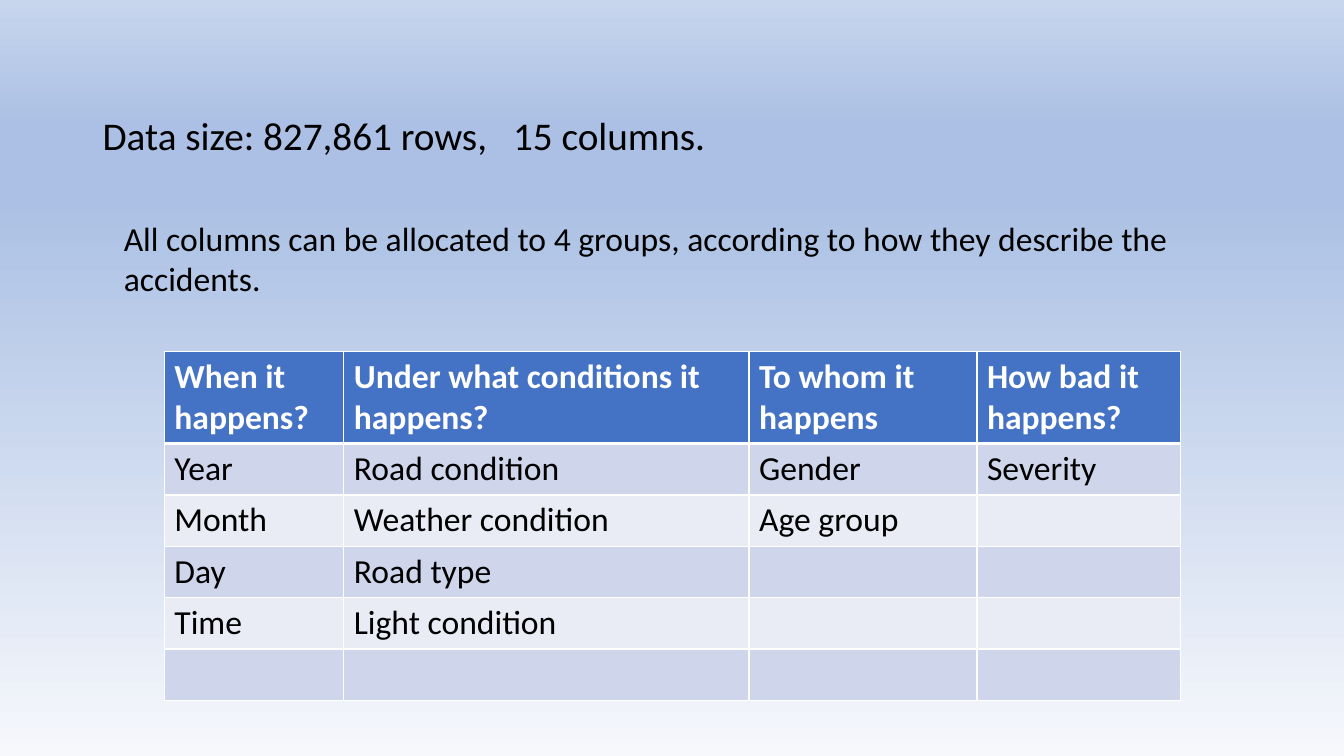
from lxml import etree
from pptx import Presentation
from pptx.dml.color import RGBColor
from pptx.enum.text import MSO_AUTO_SIZE
from pptx.oxml.ns import qn
from pptx.util import Inches, Pt

# Content
DATA_SIZE = "Data size: 827,861 rows,\t15 columns."
GROUPING = ("All columns can be allocated to 4 groups, "
            "according to how they describe the accidents.")
GROUPS = {
    "When it happens?": ["Year", "Month", "Day", "Time"],
    "Under what conditions it happens?": [
        "Road condition", "Weather condition", "Road type", "Light condition"],
    "To whom it happens": ["Gender", "Age group"],
    "How bad it happens?": ["Severity"],
}

# Look
FONT = "Calibri"
COLORS = {"text": "000000", "white": "FFFFFF", "header": "4472C4",
          "odd": "CFD5EA", "even": "E9EBF5"}
BACKGROUND_STOPS = [(0, "F6F8FC"), (74, "ABC0E4"), (83, "ABC0E4"), (100, "C7D5ED")]

# Layout in inches
SLIDE_SIZE = (13.33, 7.5)
DATA_SIZE_BOX = (0.92, 1.11, 10.21, 0.73)
GROUPING_BOX = (1.13, 2.11, 11.46, 0.91)
TABLE_CORNER = (1.63, 3.49)
COLUMN_WIDTHS = [1.78, 4.02, 2.26, 2.02]
BODY_ROWS = 5
ROW_HEIGHTS = [0.91] + [0.51] * BODY_ROWS
COLUMNS_TAB = 4.07


def add_span(para, text, size, color="text", bold=False):
    span = para.add_run()
    span.text = text
    span.font.name = FONT
    span.font.size = Pt(size)
    span.font.bold = bold
    span.font.color.rgb = RGBColor.from_string(COLORS[color])


def add_text(page, place, text, size):
    box = page.shapes.add_textbox(*map(Inches, place))
    box.text_frame.word_wrap = True
    para = box.text_frame.paragraphs[0]
    add_span(para, text, size)
    return box, para


def add_solid_fill(parent, color):
    fill = etree.SubElement(parent, qn("a:solidFill"))
    etree.SubElement(fill, qn("a:srgbClr"), val=color)


def set_borders(cell, widths):
    properties = cell._tc.get_or_add_tcPr()
    for side, width in widths.items():
        line = etree.SubElement(properties, qn(f"a:ln{side}"), w=str(Pt(width)))
        add_solid_fill(line, COLORS["white"])


def set_background(page):
    fill = page.background.fill
    fill.gradient()
    fill.gradient_angle = 90  # from bottom to top
    stops = page.background._cSld.find(".//" + qn("a:gsLst"))
    for stop in list(stops):
        stops.remove(stop)
    for share, color in BACKGROUND_STOPS:
        stop = etree.SubElement(stops, qn("a:gs"), pos=str(share * 1000))
        etree.SubElement(stop, qn("a:srgbClr"), val=color)


def add_groups_table(page):
    size = (sum(COLUMN_WIDTHS), sum(ROW_HEIGHTS))
    frame = page.shapes.add_table(len(ROW_HEIGHTS), len(COLUMN_WIDTHS),
                                  *map(Inches, TABLE_CORNER + size))
    table = frame.table
    table.first_row = table.horz_banding = False
    for column, width in zip(table.columns, COLUMN_WIDTHS):
        column.width = Inches(width)
    for row, height in zip(table.rows, ROW_HEIGHTS):
        row.height = Inches(height)

    for column, (question, fields) in enumerate(GROUPS.items()):
        texts = [question] + fields
        texts += [""] * (len(ROW_HEIGHTS) - len(texts))
        for row, text in enumerate(texts):
            cell = table.cell(row, column)
            header = row == 0
            set_borders(cell, {"L": 1, "R": 1, "T": 3 if row == 1 else 1,
                               "B": 3 if header else 1})
            shade = "header" if header else "odd" if row % 2 else "even"
            cell.fill.solid()
            cell.fill.fore_color.rgb = RGBColor.from_string(COLORS[shade])
            if text:
                add_span(cell.text_frame.paragraphs[0], text, 24,
                         "white" if header else "text", header)


def main():
    deck = Presentation()
    deck.slide_width, deck.slide_height = map(Inches, SLIDE_SIZE)
    page = deck.slides.add_slide(deck.slide_layouts[6])
    set_background(page)

    # Data size line, with a tab stop before the column count
    _, para = add_text(page, DATA_SIZE_BOX, DATA_SIZE, 28)
    para.line_spacing = 0.9
    para.space_before = Pt(10)
    tabs = etree.SubElement(para._p.get_or_add_pPr(), qn("a:tabLst"))
    etree.SubElement(tabs, qn("a:tab"), pos=str(Inches(COLUMNS_TAB)), algn="l")

    # Table of column groups and the sentence above it
    add_groups_table(page)
    box, _ = add_text(page, GROUPING_BOX, GROUPING, 24)
    box.text_frame.auto_size = MSO_AUTO_SIZE.SHAPE_TO_FIT_TEXT

    deck.save("out.pptx")


if __name__ == "__main__":
    main()
